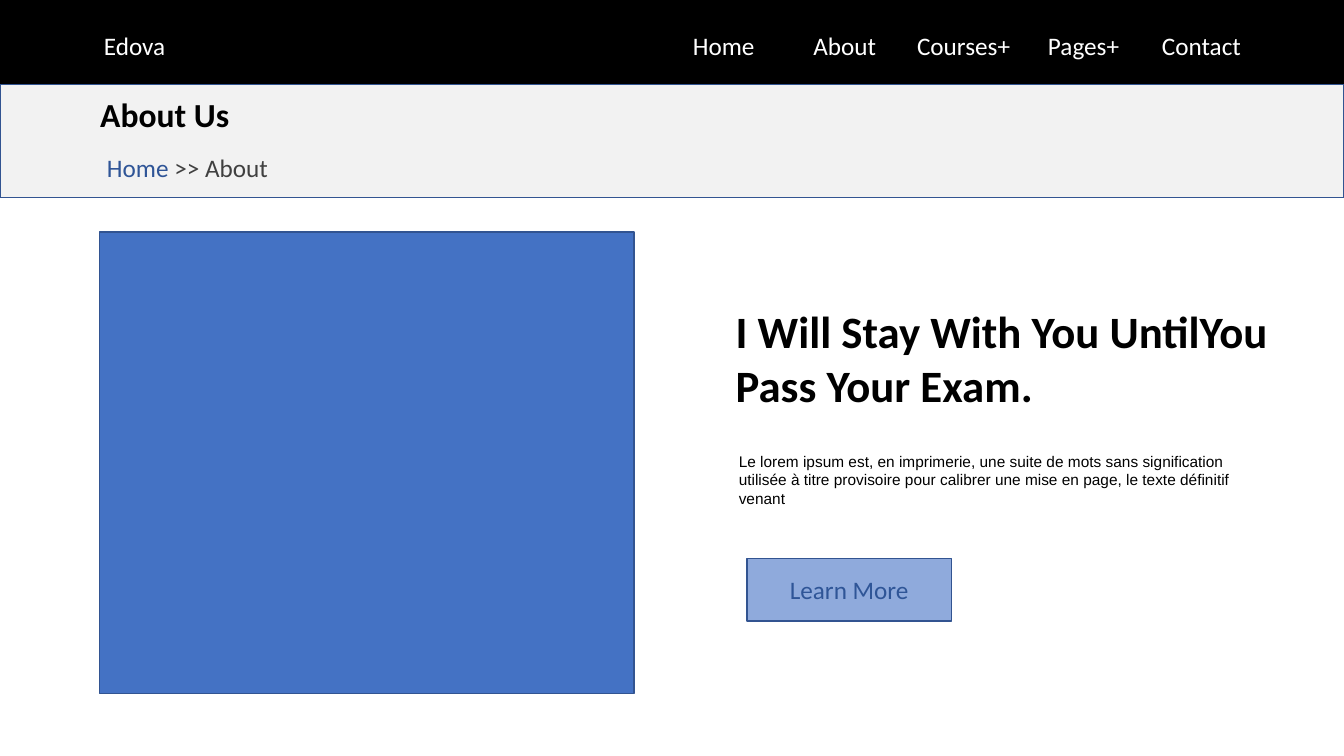
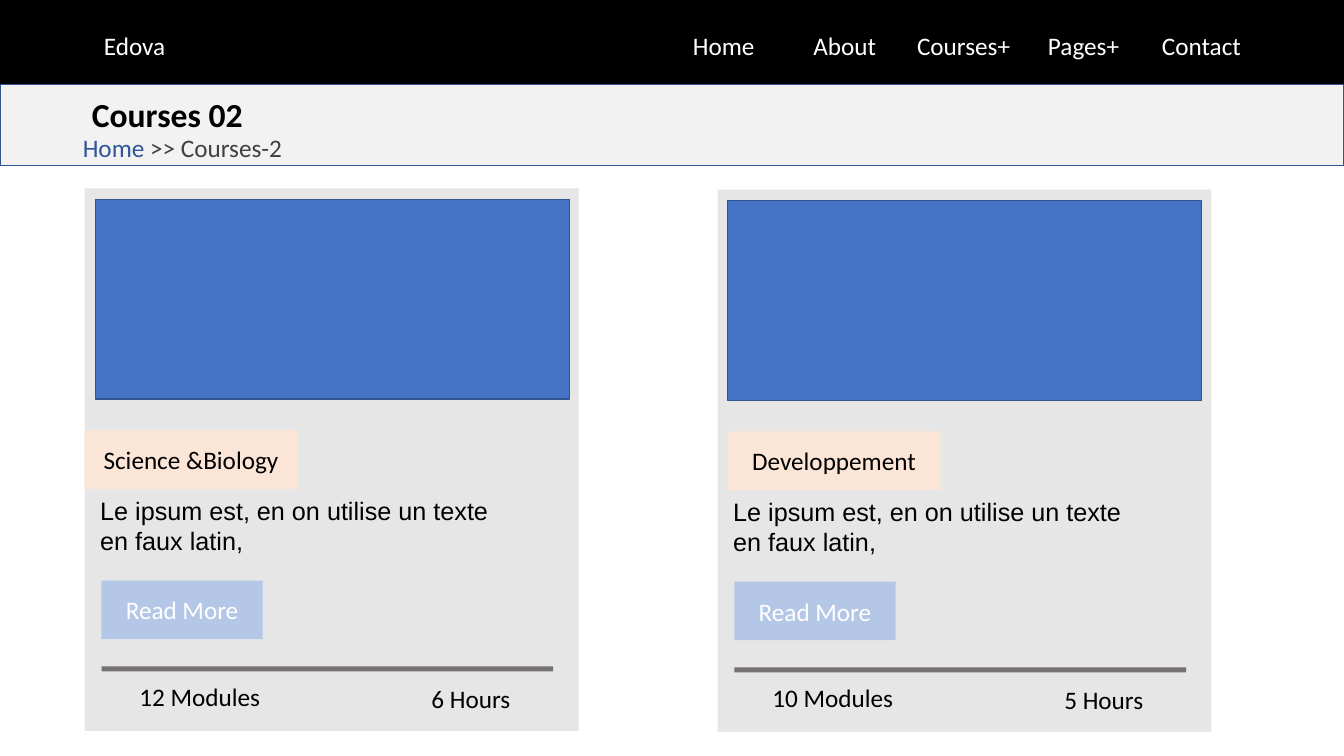
from dataclasses import dataclass
from typing import Optional

import pptx
import pptx.dml.color
import pptx.enum.shapes
import pptx.enum.text
import pptx.util

Pt = pptx.util.Pt
Align = pptx.enum.text.PP_ALIGN


@dataclass(frozen=True)
class Theme:
    """Colours, fonts and type sizes of the deck."""
    black: str = "000000"
    white: str = "FFFFFF"
    pale: str = "F2F2F2"
    card: str = "E7E6E6"
    blue: str = "4472C4"
    edge: str = "325491"
    link: str = "2F5597"
    grey: str = "404040"
    rule: str = "767171"
    peach: str = "FBE5D6"
    soft: str = "8FAADC"
    light: str = "B4C7E7"
    sans: str = "Calibri"
    plain: str = "Arial"
    small: float = 11
    text: float = 18
    title: float = 24
    head: float = 32


THEME = Theme()


@dataclass(frozen=True)
class Box:
    """A place on the slide, in points."""
    left: float
    top: float
    width: float
    height: float


@dataclass(frozen=True)
class Run:
    """A piece of text in one style."""
    text: str
    colour: str = THEME.black
    size: float = THEME.text
    font: str = THEME.sans
    bold: bool = False


@dataclass(frozen=True)
class Page:
    """The parts of the page header that vary."""
    title: str
    crumb: str
    band: float
    title_width: float
    crumb_box: Box


@dataclass(frozen=True)
class Course:
    """A course card and its place."""
    left: float
    top: float
    inset: float
    tag: str
    tag_shift: float
    units: str
    hours: str


WIDTH, HEIGHT, BAR = 960, 540, 60.5
NAV_TOP, NAV_HEIGHT = 18, 29.5
NAV = {
    "Edova": (53.3, 85.7),
    "Home": (481, 72),
    "About": (567.4, 72),
    "Courses+": (645.1, 86.4),
    "Pages+": (738, 72),
    "Contact": (822.2, 72),
}
ABOUT = Page("About Us", "About", 80.6, 120.2, Box(57.6, 103, 152.6, 33.8))
LIST = Page("Courses 02", "Courses-2", 57.6, 123.8, Box(46.8, 88.6, 167, 33.8))
COURSES = (
    Course(60.5, 134.6, 7.9, "Science &Biology", 0, "12 Modules", "6 Hours"),
    Course(512.6, 135.4, 7.2, "Developpement", 7.2, "10 Modules", "5 Hours"),
)


def tint(code: str) -> pptx.dml.color.RGBColor:
    """Turn a hex code into a colour."""
    return pptx.dml.color.RGBColor.from_string(code)


def place(shape, box: Box) -> None:
    """Move and size a shape."""
    shape.left, shape.top = Pt(box.left), Pt(box.top)
    shape.width, shape.height = Pt(box.width), Pt(box.height)


def write(shape, runs: tuple[Run, ...], align=Align.CENTER) -> None:
    """Fill a shape with one paragraph of runs."""
    frame = shape.text_frame
    frame.word_wrap = True
    frame.auto_size = pptx.enum.text.MSO_AUTO_SIZE.NONE
    frame.vertical_anchor = pptx.enum.text.MSO_ANCHOR.MIDDLE
    line = frame.paragraphs[0]
    line.alignment = align
    for item in runs:
        run = line.add_run()
        run.text = item.text
        run.font.name = item.font
        run.font.size = Pt(item.size)
        run.font.bold = item.bold
        run.font.color.rgb = tint(item.colour)


def label(slide, box: Box, *runs: Run, align=Align.CENTER) -> None:
    """Add a text box."""
    shape = slide.shapes.add_textbox(0, 0, 0, 0)
    place(shape, box)
    write(shape, runs, align)


def block(slide, box: Box, fill: str, edge: Optional[str] = None,
          run: Optional[Run] = None) -> None:
    """Add a flat box, with an edge and text if given."""
    kind = pptx.enum.shapes.MSO_SHAPE.RECTANGLE
    shape = slide.shapes.add_shape(kind, 0, 0, 0, 0)
    place(shape, box)
    shape.shadow.inherit = False
    shape.fill.solid()
    shape.fill.fore_color.rgb = tint(fill)
    if edge:
        shape.line.color.rgb = tint(edge)
        shape.line.width = Pt(1)
    else:
        shape.line.fill.background()
    if run:
        write(shape, (run,))


def start(deck, page: Page):
    """Add a slide with its menu bar, title and crumb trail."""
    slide = deck.slides.add_slide(deck.slide_layouts.get_by_name("Title Only"))
    block(slide, Box(0, 0, WIDTH, BAR), THEME.black, THEME.black)
    for name, (left, width) in NAV.items():
        label(slide, Box(left, NAV_TOP, width, NAV_HEIGHT),
              Run(name, THEME.white))
    block(slide, Box(0, BAR, WIDTH, page.band), THEME.pale, THEME.edge)
    title = slide.shapes.title
    title.element.getparent().append(title.element)
    place(title, Box(57.6, 64.1, page.title_width, 34.6))
    write(title, (Run(page.title, size=THEME.title, bold=True),))
    label(slide, page.crumb_box, Run("Home ", THEME.link),
          Run(f">> {page.crumb}", THEME.grey))
    return slide


def draw_about(deck) -> None:
    """Build the slide about the school."""
    slide = start(deck, ABOUT)
    block(slide, Box(71.3, 165.6, 381.6, 329.8), THEME.blue, THEME.edge)
    label(slide, Box(518.4, 213.1, 397.4, 84.2),
          Run("I Will Stay With You UntilYou Pass Your Exam.",
              size=THEME.head, bold=True), align=Align.LEFT)
    label(slide, Box(520.6, 311.8, 395.3, 61.9),
          Run("Le lorem ipsum est, en imprimerie, une suite de mots sans "
              "signification utilisée à titre provisoire pour calibrer une "
              "mise en page, le texte définitif venant",
              size=THEME.small, font=THEME.plain), align=Align.LEFT)
    block(slide, Box(533.5, 398.9, 146.2, 44.6), THEME.soft, THEME.edge,
          Run("Learn More", THEME.link))


def draw_card(slide, course: Course) -> None:
    """Draw one course card."""
    def spot(left: float, top: float, width: float, height: float) -> Box:
        """Give a place counted from the corner of the card."""
        return Box(course.left + left, course.top + top, width, height)

    block(slide, spot(0, 0, 352.8, 387.4), THEME.card)
    block(slide, spot(course.inset, 7.9, 338.4, 142.6), THEME.blue, THEME.edge)
    block(slide, spot(course.tag_shift, 172.8, 151.9, 41.8), THEME.peach,
          run=Run(course.tag))
    label(slide, spot(4, 209.5, 295.9, 62.6),
          Run("Le ipsum est, en on utilise un texte en faux latin,",
              font=THEME.plain), align=Align.LEFT)
    block(slide, spot(12, 280.1, 115.2, 41.8), THEME.light,
          run=Run("Read More", THEME.white))
    block(slide, spot(12, 341.3, 322.6, 3.6), THEME.rule)
    label(slide, spot(12, 344.9, 140.4, 35.3), Run(course.units))
    label(slide, spot(205.6, 346.3, 140.4, 35.3), Run(course.hours))


def draw_list(deck) -> None:
    """Build the slide of course cards."""
    slide = start(deck, LIST)
    for course in COURSES:
        draw_card(slide, course)


def main() -> None:
    """Build and save the deck."""
    deck = pptx.Presentation()
    deck.slide_width, deck.slide_height = Pt(WIDTH), Pt(HEIGHT)
    draw_about(deck)
    draw_list(deck)
    deck.save("out.pptx")


main()
